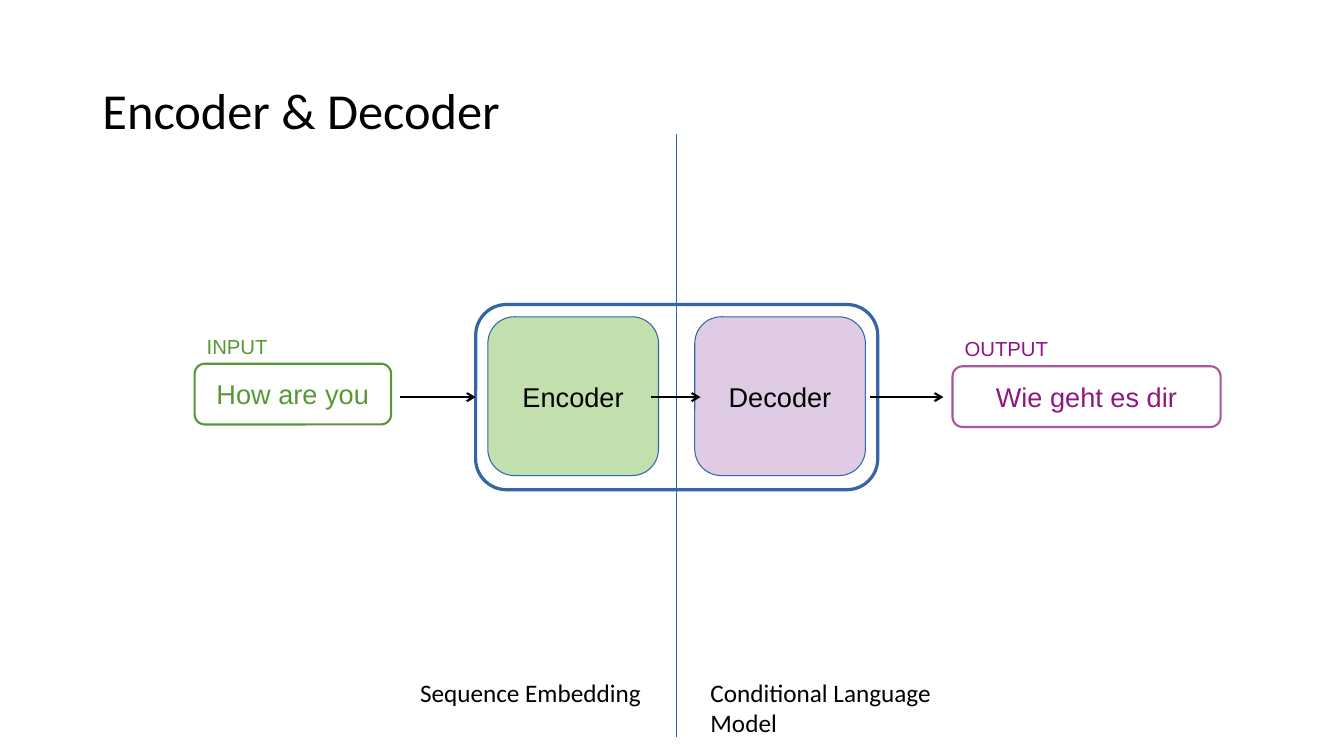
from dataclasses import dataclass
from typing import Optional

from lxml.etree import SubElement
from pptx import Presentation
from pptx.dml.color import RGBColor
from pptx.enum.shapes import MSO_CONNECTOR, MSO_SHAPE
from pptx.enum.text import MSO_ANCHOR, MSO_AUTO_SIZE, PP_ALIGN
from pptx.oxml.ns import qn
from pptx.shapes.autoshape import Shape
from pptx.shapes.connector import Connector
from pptx.slide import Slide
from pptx.text.text import TextFrame
from pptx.util import Pt

COLOURS = {
    "black": "000000",
    "blue": "3465A4",
    "green": "579835",
    "light green": "C2E0AE",
    "purple": "8F187C",
    "mid purple": "AA55A1",
    "light purple": "DFCCE4",
}
FLOW_Y = 283.65


@dataclass
class Box:
    left: float
    top: float
    width: float
    height: float
    line: str
    line_width: float
    text: str = ""
    colour: str = "black"
    fill: Optional[str] = None


@dataclass
class Label:
    text: str
    left: float
    top: float
    width: float
    height: float
    size: float
    font: str
    colour: str = "black"
    anchor: MSO_ANCHOR = MSO_ANCHOR.TOP
    margins: tuple[float, float] = (7.2, 3.6)
    wrap: bool = True


@dataclass
class Line:
    start: tuple[float, float]
    end: tuple[float, float]
    colour: str = "black"
    width: float = 1.5
    arrow: bool = True


FRAME = Box(339.8, 217.5, 287.2, 132.3, "blue", 2.3)
BOXES = [
    Box(139, 259.8, 140.4, 43.4, "green", 1.5, "How are you", "green"),
    Box(680.4, 261.6, 191.5, 43.4, "mid purple", 1.5, "Wie geht es dir", "purple"),
    Box(348.5, 226.3, 121.9, 113.4, "blue", 0, "Encoder", fill="light green"),
    Box(496.3, 226.3, 121.9, 113.4, "blue", 0, "Decoder", fill="light purple"),
]
LABELS = [
    Label("INPUT", 139, 234.7, 61.2, 25.2, 14.5, "Arial", "green",
          MSO_ANCHOR.MIDDLE, (8.6, 4.3), False),
    Label("OUTPUT", 680.4, 236.2, 77.8, 25.2, 14.5, "Arial", "purple",
          MSO_ANCHOR.MIDDLE, (8.6, 4.3), False),
    Label("Sequence Embedding", 293, 480.2, 187.2, 29, 18, "Calibri"),
    Label("Conditional Language Model", 500.4, 480.2, 198, 51, 18, "Calibri"),
]
DIVIDER = Line((483.3, 95.8), (483.3, 526.3), "blue", 1, False)
INPUT_ARROW = Line((285.8, FLOW_Y), (338.4, FLOW_Y))
ARROWS = [
    Line((465.1, FLOW_Y), (500.4, FLOW_Y)),
    Line((621.4, FLOW_Y), (673.9, FLOW_Y)),
]


def rgb(name: str) -> RGBColor:
    return RGBColor.from_string(COLOURS[name])


def write_text(frame: TextFrame, text: str, *, size: float, font: str,
               colour: str = "black", align: PP_ALIGN = PP_ALIGN.LEFT,
               anchor: MSO_ANCHOR = MSO_ANCHOR.MIDDLE, wrap: bool = True,
               margins: tuple[float, float] = (7.2, 3.6),
               auto_size: MSO_AUTO_SIZE = MSO_AUTO_SIZE.NONE,
               line_spacing: Optional[float] = None) -> None:
    frame.word_wrap = wrap
    frame.auto_size = auto_size
    frame.vertical_anchor = anchor
    frame.margin_left = frame.margin_right = Pt(margins[0])
    frame.margin_top = frame.margin_bottom = Pt(margins[1])
    paragraph = frame.paragraphs[0]
    paragraph.alignment = align
    paragraph.line_spacing = line_spacing
    run = paragraph.add_run()
    run.text = text
    run.font.size = Pt(size)
    run.font.name = font
    run.font.color.rgb = rgb(colour)


def draw_box(slide: Slide, box: Box) -> Shape:
    shape = slide.shapes.add_shape(
        MSO_SHAPE.ROUNDED_RECTANGLE,
        Pt(box.left), Pt(box.top), Pt(box.width), Pt(box.height))
    shape.shadow.inherit = False
    shape.line.color.rgb = rgb(box.line)
    shape.line.width = Pt(box.line_width)
    if box.fill:
        shape.fill.solid()
        shape.fill.fore_color.rgb = rgb(box.fill)
    else:
        shape.fill.background()
    if box.text:
        write_text(shape.text_frame, box.text, size=19.4, font="Arial",
                   colour=box.colour, align=PP_ALIGN.CENTER, wrap=False,
                   margins=(9, 4.7))
    return shape


def draw_label(slide: Slide, label: Label) -> None:
    shape = slide.shapes.add_textbox(
        Pt(label.left), Pt(label.top), Pt(label.width), Pt(label.height))
    write_text(shape.text_frame, label.text, size=label.size, font=label.font,
               colour=label.colour, anchor=label.anchor, wrap=label.wrap,
               margins=label.margins, auto_size=MSO_AUTO_SIZE.SHAPE_TO_FIT_TEXT)


def draw_line(slide: Slide, line: Line) -> Connector:
    connector = slide.shapes.add_connector(
        MSO_CONNECTOR.STRAIGHT, *map(Pt, line.start + line.end))
    connector.line.color.rgb = rgb(line.colour)
    connector.line.width = Pt(line.width)
    if line.arrow:
        SubElement(connector.line._get_or_add_ln(), qn("a:tailEnd"), type="arrow")
    SubElement(connector._element.spPr, qn("a:effectLst"))
    return connector


def main() -> None:
    presentation = Presentation()
    presentation.slide_width = Pt(960)
    presentation.slide_height = Pt(540)
    slide = presentation.slides.add_slide(presentation.slide_layouts[5])

    title = slide.shapes.title
    title.left, title.top, title.width, title.height = map(Pt, (66, 28.8, 828, 104.4))
    write_text(title.text_frame, "Encoder & Decoder", size=36, font="Calibri",
               line_spacing=0.9)

    draw_line(slide, DIVIDER)
    frame = draw_box(slide, FRAME)
    for box in BOXES:
        draw_box(slide, box)
    draw_line(slide, INPUT_ARROW).end_connect(frame, 1)
    for arrow in ARROWS:
        draw_line(slide, arrow)
    for label in LABELS:
        draw_label(slide, label)

    presentation.save("out.pptx")


if __name__ == "__main__":
    main()
